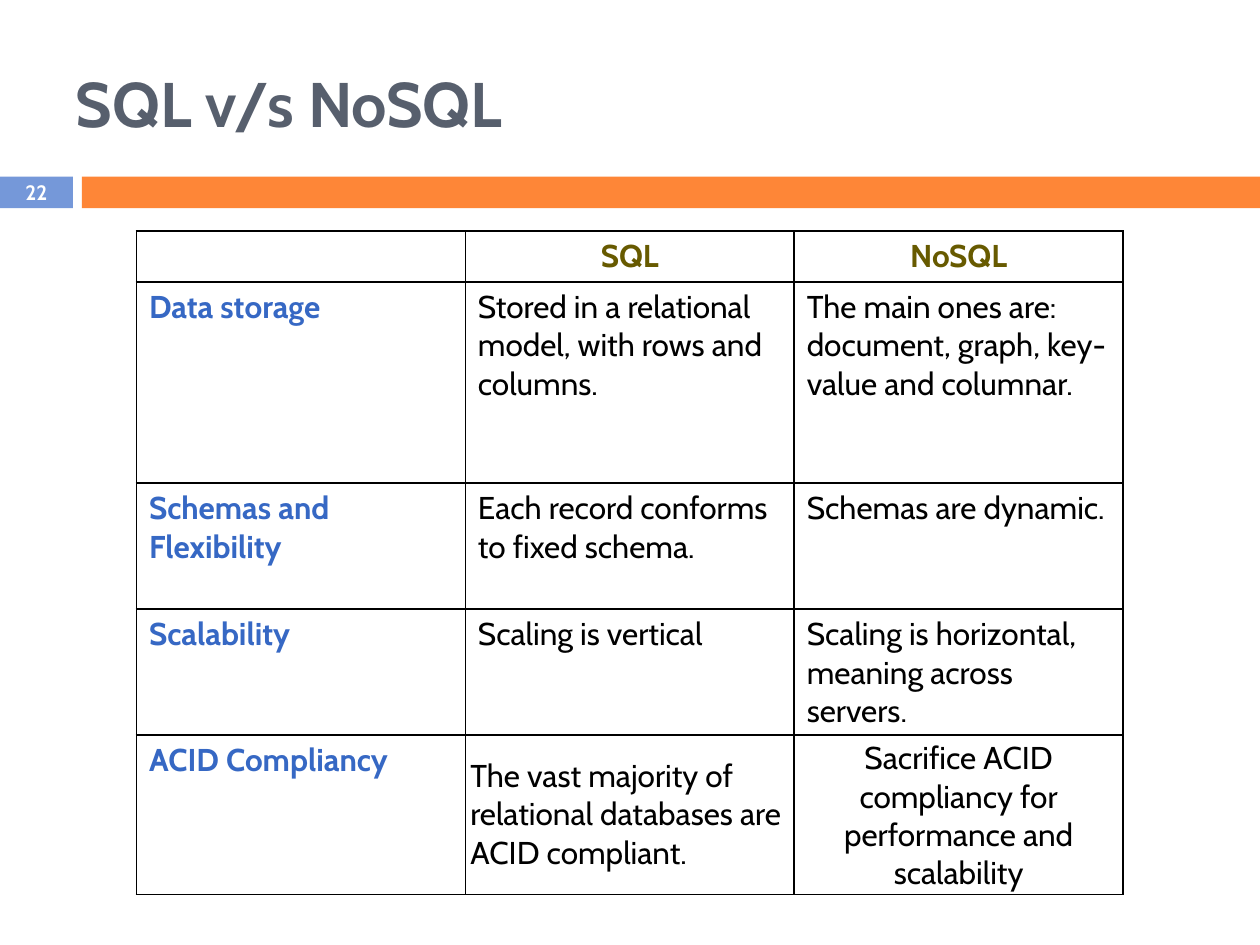
from dataclasses import dataclass

from lxml import etree
from pptx import Presentation
from pptx.dml.color import RGBColor
from pptx.enum.shapes import MSO_SHAPE
from pptx.enum.text import MSO_ANCHOR, PP_ALIGN
from pptx.oxml.ns import qn
from pptx.util import Cm, Pt

RECTANGLE = MSO_SHAPE.RECTANGLE
TOP, MIDDLE = MSO_ANCHOR.TOP, MSO_ANCHOR.MIDDLE
LEFT, CENTER = PP_ALIGN.LEFT, PP_ALIGN.CENTER
TITLE_ONLY = 5


@dataclass(frozen=True)
class Theme:
    """Colours, font and type sizes of the slide."""
    font: str = "Cabin"
    title: str = "575F6D"
    number_band: str = "7598D9"
    accent_band: str = "FE8637"
    white: str = "FFFFFF"
    heading: str = "675A00"
    label: str = "3668C4"
    body: str = "000000"
    border: str = "000000"
    title_size: float = 36
    number_size: float = 11.9
    table_size: float = 18
    border_width: float = 1


THEME = Theme()
COLUMN_WIDTH = 6.63
ROW_HEIGHTS = (1.02, 4.06, 2.54, 2.54, 3.18)
ROWS = (
    ("", "SQL", "NoSQL"),
    ("Data storage",
     "Stored in a relational model, with rows and columns. ",
     "The main ones are: document, graph, key-value and columnar. "),
    ("Schemas and Flexibility",
     "Each record conforms to fixed schema.",
     "Schemas are dynamic."),
    ("Scalability",
     "Scaling is vertical",
     "Scaling is horizontal, meaning across servers. "),
    ("ACID Compliancy ",
     "The vast majority of relational databases are ACID compliant.",
     "Sacrifice ACID compliancy for performance and scalability"),
)
CENTERED_CELLS = {(0, 1), (0, 2), (4, 2)}
COMPACT_CELLS = CENTERED_CELLS | {(4, 1)}


def write_text(frame, text, size, color, bold=True, align=LEFT):
    """Put one formatted paragraph into a text frame."""
    paragraph = frame.paragraphs[0]
    paragraph.text = text
    paragraph.alignment = align
    font = paragraph.font
    font.name, font.size, font.bold = THEME.font, Pt(size), bold
    font.color.rgb = RGBColor.from_string(color)


def add_band(slide, left, width, color):
    """Add a plain bar of the strip below the title."""
    band = slide.shapes.add_shape(RECTANGLE, Cm(left), Cm(3.56), Cm(width), Cm(0.64))
    band.shadow.inherit = False
    band.fill.solid()
    band.fill.fore_color.rgb = RGBColor.from_string(color)
    band.line.fill.background()


def set_title(slide, text):
    """Place and format the title placeholder."""
    title = slide.shapes.title
    title.left, title.top, title.width, title.height = Cm(1.27), Cm(0.76), Cm(22.86), Cm(2.62)
    title.text_frame.vertical_anchor = MIDDLE
    write_text(title.text_frame, text, THEME.title_size, THEME.title)


def add_slide_number(slide, number):
    """Add the page number on the small band."""
    frame = slide.shapes.add_textbox(Cm(0), Cm(3.53), Cm(1.47), Cm(0.69)).text_frame
    frame.word_wrap = True
    frame.vertical_anchor = MIDDLE
    frame.margin_left = frame.margin_right = frame.margin_top = frame.margin_bottom = 0
    write_text(frame, number, THEME.number_size, THEME.white, align=CENTER)


def set_borders(cell):
    """Draw a thin line on all four sides of a cell."""
    properties = cell._tc.get_or_add_tcPr()
    for index, side in enumerate(("lnL", "lnR", "lnT", "lnB")):
        line = etree.Element(qn(f"a:{side}"), w=str(Pt(THEME.border_width)))
        fill = etree.SubElement(line, qn("a:solidFill"))
        etree.SubElement(fill, qn("a:srgbClr"), val=THEME.border)
        properties.insert(index, line)


def format_cell(cell, row, column, text):
    """Fill one cell, styled by its place in the table."""
    compact = (row, column) in COMPACT_CELLS
    if compact:
        cell.margin_left = cell.margin_right = Cm(0.1)
        cell.margin_top = cell.margin_bottom = Cm(0.08)
    cell.vertical_anchor = MIDDLE if compact else TOP
    cell.fill.background()
    set_borders(cell)
    color = THEME.heading if row == 0 else THEME.label if column == 0 else THEME.body
    align = CENTER if (row, column) in CENTERED_CELLS else LEFT
    write_text(cell.text_frame, text, THEME.table_size, color,
               bold=row == 0 or column == 0, align=align)


def add_comparison_table(slide):
    """Add the table that compares both database kinds."""
    column_count = len(ROWS[0])
    table = slide.shapes.add_table(
        len(ROWS), column_count, Cm(2.75), Cm(4.66),
        Cm(COLUMN_WIDTH * column_count), Cm(sum(ROW_HEIGHTS))).table
    table.first_row = table.horz_banding = False
    for column in table.columns:
        column.width = Cm(COLUMN_WIDTH)
    for row, (height, texts) in enumerate(zip(ROW_HEIGHTS, ROWS)):
        table.rows[row].height = Cm(height)
        for column, text in enumerate(texts):
            format_cell(table.cell(row, column), row, column, text)


def main():
    """Build and save the slide."""
    presentation = Presentation()
    presentation.slide_width, presentation.slide_height = Cm(25.4), Cm(19.05)
    slide = presentation.slides.add_slide(presentation.slide_layouts[TITLE_ONLY])
    add_band(slide, 0, 1.47, THEME.number_band)
    add_band(slide, 1.65, 23.75, THEME.accent_band)
    set_title(slide, "SQL v/s NoSQL")
    add_slide_number(slide, "22")
    add_comparison_table(slide)
    presentation.save("out.pptx")


main()
